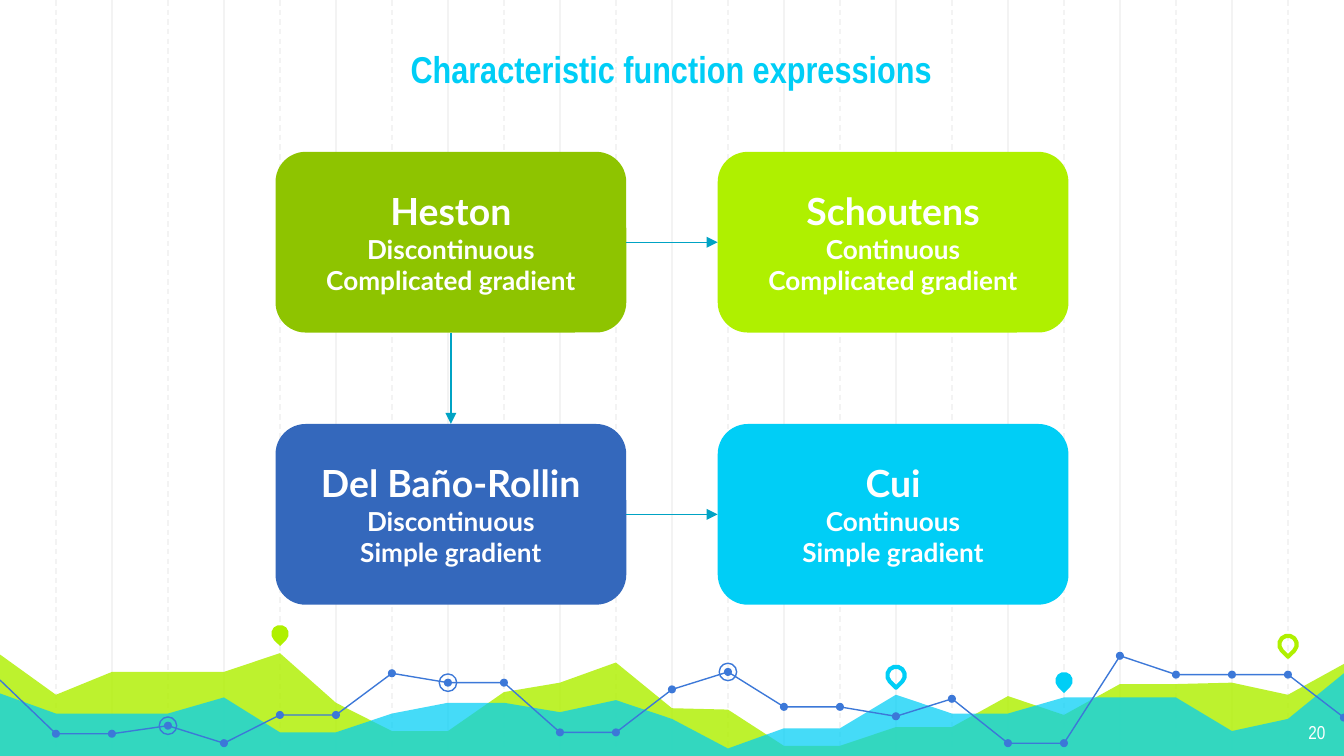
from collections import namedtuple

from lxml import etree
from pptx import Presentation
from pptx.dml.color import RGBColor
from pptx.enum.dml import MSO_LINE
from pptx.enum.shapes import MSO_CONNECTOR, MSO_SHAPE
from pptx.enum.text import MSO_ANCHOR, PP_ALIGN
from pptx.oxml.ns import qn
from pptx.util import Inches, Pt

Box = namedtuple("Box", "left top width height")

WIDTH = 10
HEIGHT = WIDTH * 9 / 16
COLUMNS = 24

WHITE = RGBColor(0xFF, 0xFF, 0xFF)
GRID_GREY = RGBColor(0xF3, 0xF3, 0xF3)
LIME = RGBColor(0xAF, 0xF0, 0x00)
GREEN = RGBColor(0x8E, 0xC4, 0x00)
CYAN = RGBColor(0x00, 0xCE, 0xF6)
BLUE = RGBColor(0x34, 0x68, 0xBC)
TREND_BLUE = RGBColor(0x3C, 0x78, 0xD8)
ARROW_TEAL = RGBColor(0x00, 0xA3, 0xC4)
HEADING_FONT, BODY_FONT = "Arial Narrow", "Lato"

# Depth below the landscape's top at each grid column, in percent of its height
LIME_HILLS = [22, 52, 35, 35, 35, 21, 58, 79, 79, 50, 43, 28, 62,
              63, 90, 90, 76, 76, 53, 67, 44, 44, 43, 52, 29]
CYAN_HILLS = [51, 66, 66, 66, 54, 80, 80, 66, 58, 58, 65, 56, 70,
              92, 77, 77, 52, 66, 66, 54, 54, 54, 79, 70, 36]
TREND = [41, 81, 81, 75, 88, 67, 67, 36, 43, 43, 80, 80, 48,
         35, 61, 61, 68, 55, 88, 88, 23, 37, 37, 37, 69]
TREND_BREAKS = [0, 11, 20, 24]
RINGED_COLUMNS = [3, 8, 13]
PINS = [(5, 6.5, LIME, True), (16, 37.5, CYAN, False),
        (19, 41.5, CYAN, True), (23, 14.5, LIME, False)]

CARDS = [
    [("Heston", "Discontinuous", "Complicated gradient", GREEN),
     ("Schoutens", "Continuous", "Complicated gradient", LIME)],
    [("Del Baño-Rollin", "Discontinuous", "Simple gradient", BLUE),
     ("Cui", "Continuous", "Simple gradient", CYAN)],
]


def paint(shape, fill=None, line=None, weight=0.75):
    shape.shadow.inherit = False
    if fill is None:
        shape.fill.background()
    else:
        shape.fill.solid()
        shape.fill.fore_color.rgb = fill
    if line is None:
        shape.line.fill.background()
    else:
        shape.line.color.rgb = line
        shape.line.width = Pt(weight)


def add_line(shapes, start, end, color):
    line = shapes.add_connector(MSO_CONNECTOR.STRAIGHT,
                                *(Inches(v) for v in (*start, *end)))
    line.line.color.rgb = color
    line.line.width = Pt(0.75)
    etree.SubElement(line.element.spPr, qn("a:effectLst"))
    return line


def add_outline(shapes, points, close):
    points = [(Inches(x), Inches(y)) for x, y in points]
    builder = shapes.build_freeform(*points[0])
    builder.add_line_segments(points[1:], close=close)
    return builder.convert_to_shape()


def add_mark(shapes, kind, center, size):
    x, y = center
    return shapes.add_shape(kind, Inches(x - size / 2), Inches(y - size / 2),
                            Inches(size), Inches(size))


def style_text(paragraph, size, font, color, align, bold=False):
    paragraph.alignment = align
    paragraph.font.size = Pt(size)
    paragraph.font.name = font
    paragraph.font.color.rgb = color
    paragraph.font.bold = bold


def set_frame(frame, anchor):
    frame.word_wrap = True
    frame.vertical_anchor = anchor
    frame.margin_left = frame.margin_right = Inches(0.1)
    frame.margin_top = frame.margin_bottom = Inches(0.1)


def add_grid(shapes, box):
    """Vertical rules: solid on even columns, dashed on odd ones."""
    for column in range(1, COLUMNS):
        x = box.left + column * box.width / COLUMNS
        rule = add_line(shapes, (x, box.top), (x, box.top + box.height), GRID_GREY)
        if column % 2:
            rule.line.dash_style = MSO_LINE.DASH


def add_landscape(shapes, box):
    """Two translucent hill ranges with a dotted trend line and map pins."""
    def place(column, depth):
        return (box.left + column * box.width / COLUMNS,
                box.top + depth / 100 * box.height)

    floor = [place(COLUMNS, 100), place(0, 100)]
    for depths, color, opacity in ((LIME_HILLS, LIME, 82), (CYAN_HILLS, CYAN, 73)):
        ridge = [place(*point) for point in enumerate(depths)]
        hills = add_outline(shapes, ridge + floor, close=True)
        paint(hills, color)
        rgb = hills.element.spPr.find(qn("a:solidFill")).find(qn("a:srgbClr"))
        etree.SubElement(rgb, qn("a:alpha")).set("val", str(opacity * 1000))

    trend = [place(*point) for point in enumerate(TREND)]
    for first, last in zip(TREND_BREAKS, TREND_BREAKS[1:]):
        paint(add_outline(shapes, trend[first:last + 1], close=False), line=TREND_BLUE)
    for point in trend[1:]:
        paint(add_mark(shapes, MSO_SHAPE.OVAL, point, 0.06), TREND_BLUE)
    for column in RINGED_COLUMNS:
        paint(add_mark(shapes, MSO_SHAPE.OVAL, trend[column], 0.13), line=TREND_BLUE)

    for column, depth, color, filled in PINS:
        pin = add_mark(shapes, MSO_SHAPE.TEAR, place(column, depth), 0.13)
        pin.rotation = 135
        if filled:
            paint(pin, color)
        else:
            paint(pin, line=color, weight=2.25)


def set_title(slide, box, text):
    title = slide.shapes.title
    title.left, title.top, title.width, title.height = (Inches(v) for v in box)
    set_frame(title.text_frame, MSO_ANCHOR.BOTTOM)
    title.text_frame.text = text
    style_text(title.text_frame.paragraphs[0], 20, HEADING_FONT, CYAN,
               PP_ALIGN.CENTER, bold=True)
    slide.shapes.element.append(title.element)  # bring in front of the grid


def add_page_number(shapes, box, number):
    frame = shapes.add_textbox(*(Inches(v) for v in box)).text_frame
    set_frame(frame, MSO_ANCHOR.TOP)
    frame.text = number
    style_text(frame.paragraphs[0], 10, HEADING_FONT, WHITE, PP_ALIGN.RIGHT)


def add_card(shapes, box, lines, color):
    card = shapes.add_shape(MSO_SHAPE.ROUNDED_RECTANGLE, *(Inches(v) for v in box))
    paint(card, color)
    set_frame(card.text_frame, MSO_ANCHOR.MIDDLE)
    card.text_frame.text = "\n".join(lines)
    for index, paragraph in enumerate(card.text_frame.paragraphs):
        style_text(paragraph, 14 if index else 20, BODY_FONT, WHITE,
                   PP_ALIGN.CENTER, bold=True)
    return card


def add_arrow(shapes, source, source_side, target, target_side):
    arrow = add_line(shapes, (0, 0), (0, 0), ARROW_TEAL)
    arrow.begin_connect(source, source_side)
    arrow.end_connect(target, target_side)
    outline = arrow.element.spPr.find(qn("a:ln"))
    etree.SubElement(outline, qn("a:tailEnd")).set("type", "triangle")


def add_expression_map(shapes, box, gap):
    """Two by two cards, joined along the rows and down the first column."""
    width, height = (box.width - gap) / 2, (box.height - gap) / 2
    cards = [[add_card(shapes,
                       Box(box.left + column * (width + gap),
                           box.top + row * (height + gap), width, height),
                       lines, color)
              for column, (*lines, color) in enumerate(row_cards)]
             for row, row_cards in enumerate(CARDS)]
    for left_card, right_card in cards:
        add_arrow(shapes, left_card, 3, right_card, 1)
    add_arrow(shapes, cards[0][0], 2, cards[1][0], 0)


def main():
    deck = Presentation()
    deck.slide_width, deck.slide_height = Inches(WIDTH), Inches(HEIGHT)
    slide = deck.slides.add_slide(deck.slide_layouts[5])
    shapes = slide.shapes
    add_grid(shapes, Box(0, 0, WIDTH, 5.65))
    add_landscape(shapes, Box(0, 4.65, WIDTH, 1))
    set_title(slide, Box(1.17, 0, 7.65, 0.78), "Characteristic function expressions")
    add_page_number(shapes, Box(9.36, 5.28, 0.6, 0.35), "20")
    add_expression_map(shapes, Box(2.05, 1.13, 5.9, 3.37), gap=0.68)
    deck.save("out.pptx")


if __name__ == "__main__":
    main()
